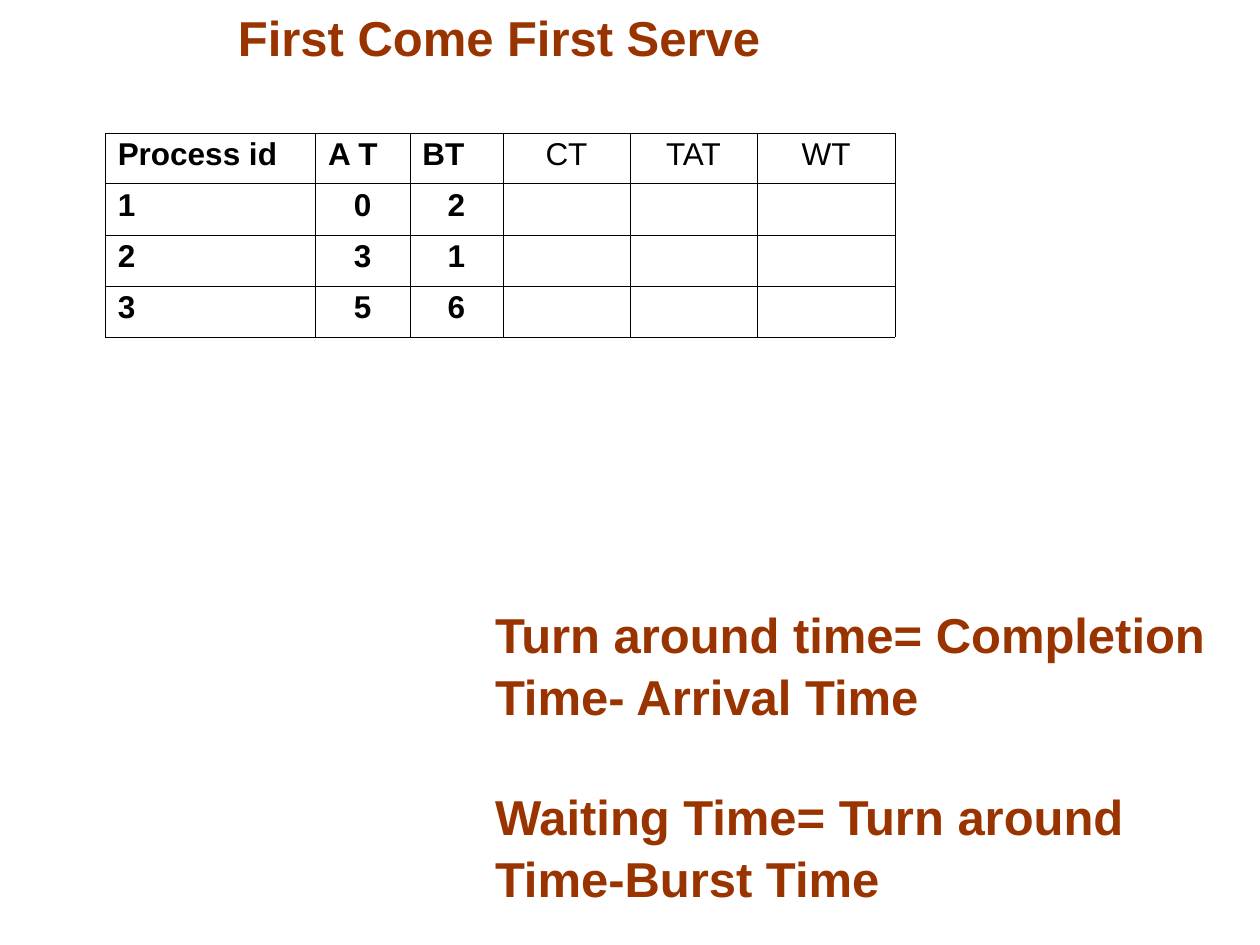
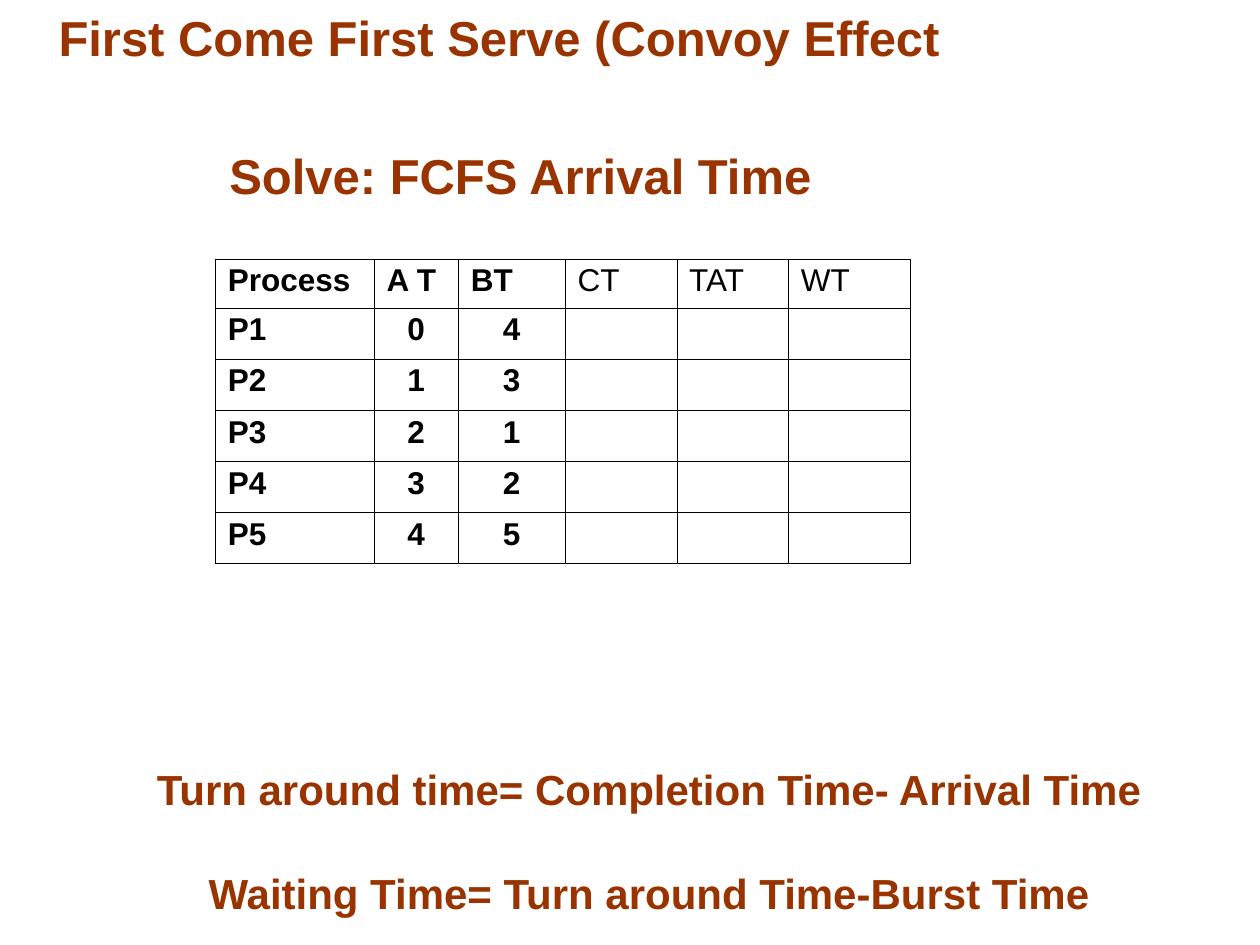
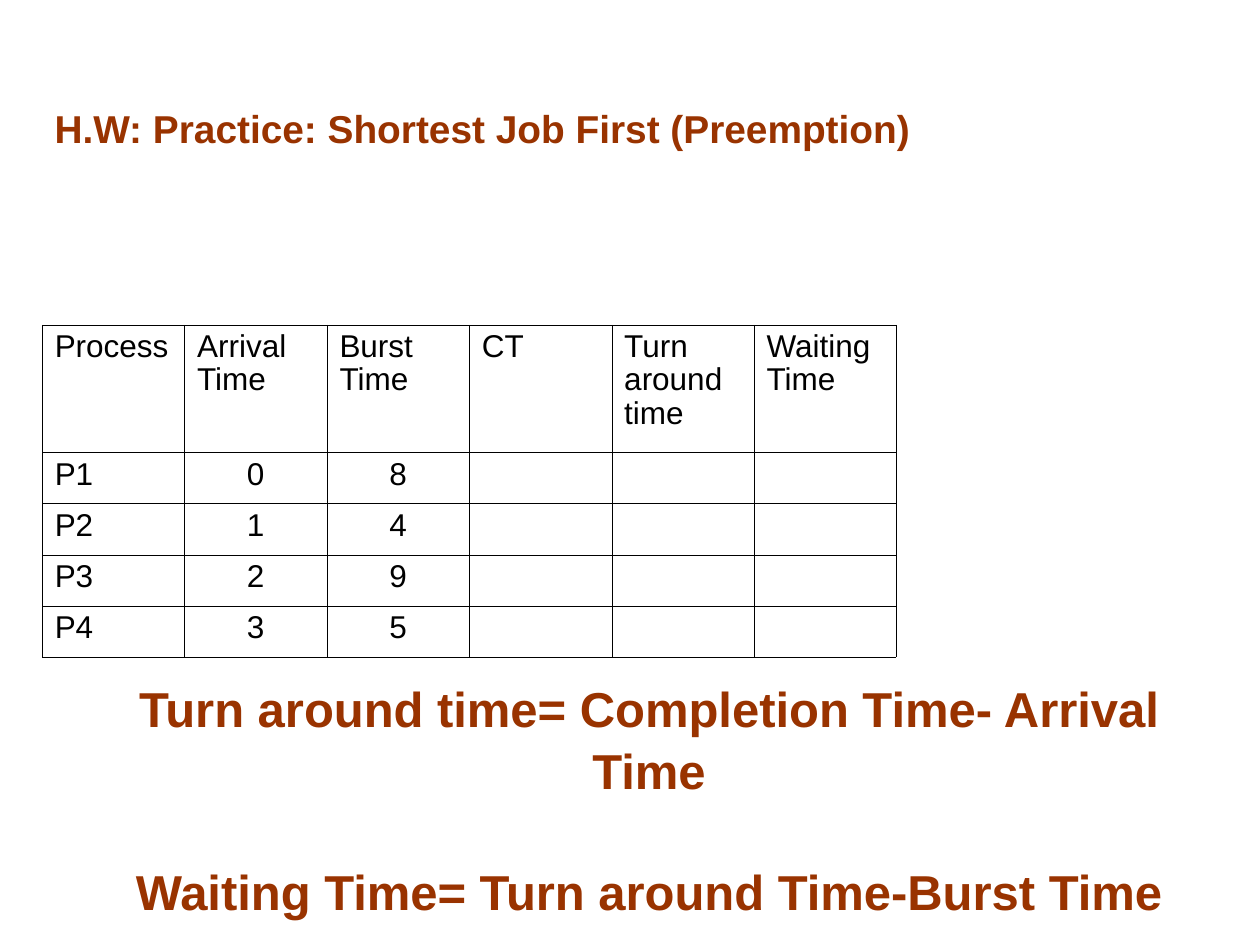
from lxml.etree import SubElement as Sub
from pptx import Presentation as Deck
from pptx.dml.color import RGBColor as RGB
from pptx.enum.text import MSO_ANCHOR as Anchor, PP_ALIGN as Align
from pptx.oxml.ns import qn
from pptx.util import Cm, Pt

RUST = RGB(0x99, 0x33, 0x00)
BLACK = RGB(0, 0, 0)
FONT = "Arial"
LEFT, MID = Align.LEFT, Align.CENTER
RULES = (
    "Turn around time= Completion Time- Arrival Time",
    "Waiting Time= Turn around Time-Burst Time",
)


class Pen:
    """Hold the shared style and draw on the current slide."""

    def __init__(self):
        self.deck = Deck()
        self.deck.slide_width, self.deck.slide_height = Cm(25.4), Cm(19.05)
        self.slide = None

    def page(self):
        """Start a blank slide."""
        self.slide = self.deck.slides.add_slide(self.deck.slide_layouts[6])

    def style(self, para, size, color, bold, align, lead):
        """Format one paragraph and its runs."""
        para.alignment, para.line_spacing = align, lead
        for font in [para.font] + [run.font for run in para.runs]:
            font.name, font.size, font.bold = FONT, Pt(size), bold
            font.color.rgb = color

    def text(self, box, lines, size=28, align=MID):
        """Add bold lines set at the foot of a box, one line apart."""
        frame = self.slide.shapes.add_textbox(*map(Cm, box)).text_frame
        frame.word_wrap = True
        frame.vertical_anchor = Anchor.BOTTOM
        frame.text = "\n".join(lines)
        for num, para in enumerate(frame.paragraphs):
            self.style(para, size, RUST, True, align, 1.05)
            if num:
                para.space_before = Pt(round(size * 1.2, 1))

    def edge(self, cell):
        """Draw a hairline on each side of a cell."""
        props = cell._tc.get_or_add_tcPr()
        for side in ("lnL", "lnR", "lnT", "lnB"):
            line = Sub(props, qn("a:" + side), w=str(Pt(0.11)))
            fill = Sub(line, qn("a:solidFill"))
            Sub(fill, qn("a:srgbClr"), val=str(BLACK))

    def table(self, left, top, cols, head, names, rows, bold=2, align=LEFT):
        """Add a process table with empty cells for the answers."""
        data = [names] + [row + ("",) * 3 for row in rows]
        high = [head] + [1.03] * len(rows)
        box = map(Cm, (left, top, sum(cols), sum(high)))
        grid = self.slide.shapes.add_table(len(data), len(cols), *box).table
        grid.first_row = grid.horz_banding = False
        for col, wide in zip(grid.columns, cols):
            col.width = Cm(wide)
        for num, (row, tall) in enumerate(zip(grid.rows, high)):
            row.height = Cm(tall)
            for pos, cell in enumerate(row.cells):
                cell.text = data[num][pos]
                if num:
                    side = MID if pos else LEFT
                else:
                    side = align if pos > 2 else LEFT
                self.style(cell.text_frame.paragraphs[0], 18, BLACK,
                           pos <= bold, side, 0.94)
                self.edge(cell)
                cell.fill.background()


def main():
    """Build the three scheduling slides."""
    pen = Pen()
    title = (0, 0, 20.12, 1.47)
    short = ("A T", "BT", "CT", "TAT", "WT")

    pen.page()
    pen.text(title, ["First Come First Serve"])
    pen.table(2.12, 2.68, (4.24, 1.9, 1.88, 2.56, 2.56, 2.79), 1.02,
              ("Process id",) + short,
              [("1", "0", "2"), ("2", "3", "1"), ("3", "5", "6")], align=MID)
    pen.text((9.73, 8.46, 15.21, 9.96), RULES, align=LEFT)

    pen.page()
    pen.text(title, ["First Come First Serve (Convoy Effect"])
    pen.table(4.34, 5.22, (3.2, 1.7, 2.15, 2.25, 2.25, 2.46), 0.99,
              ("Process",) + short,
              [("P1", "0", "4"), ("P2", "1", "3"), ("P3", "2", "1"),
               ("P4", "3", "2"), ("P5", "4", "5")])
    pen.text((2.29, 11.91, 21.59, 6.71), RULES, 24)
    pen.text((0.43, 2.34, 20.12, 1.9), ["Solve: FCFS Arrival Time"])

    pen.page()
    pen.text((0.85, 1.9, 21.59, 1.27),
             ["H.W: Practice: Shortest Job First (Preemption)"], 22.2, LEFT)
    pen.table(0.85, 6.55, (2.87,) * 6, 2.57,
              ("Process", "Arrival Time", "Burst Time", "CT",
               "Turn around time", "Waiting Time"),
              [("P1", "0", "8"), ("P2", "1", "4"), ("P3", "2", "9"),
               ("P4", "3", "5")], bold=-1)
    pen.text((2.29, 13.13, 21.59, 5.54), RULES)

    pen.deck.save("out.pptx")


if __name__ == "__main__":
    main()
